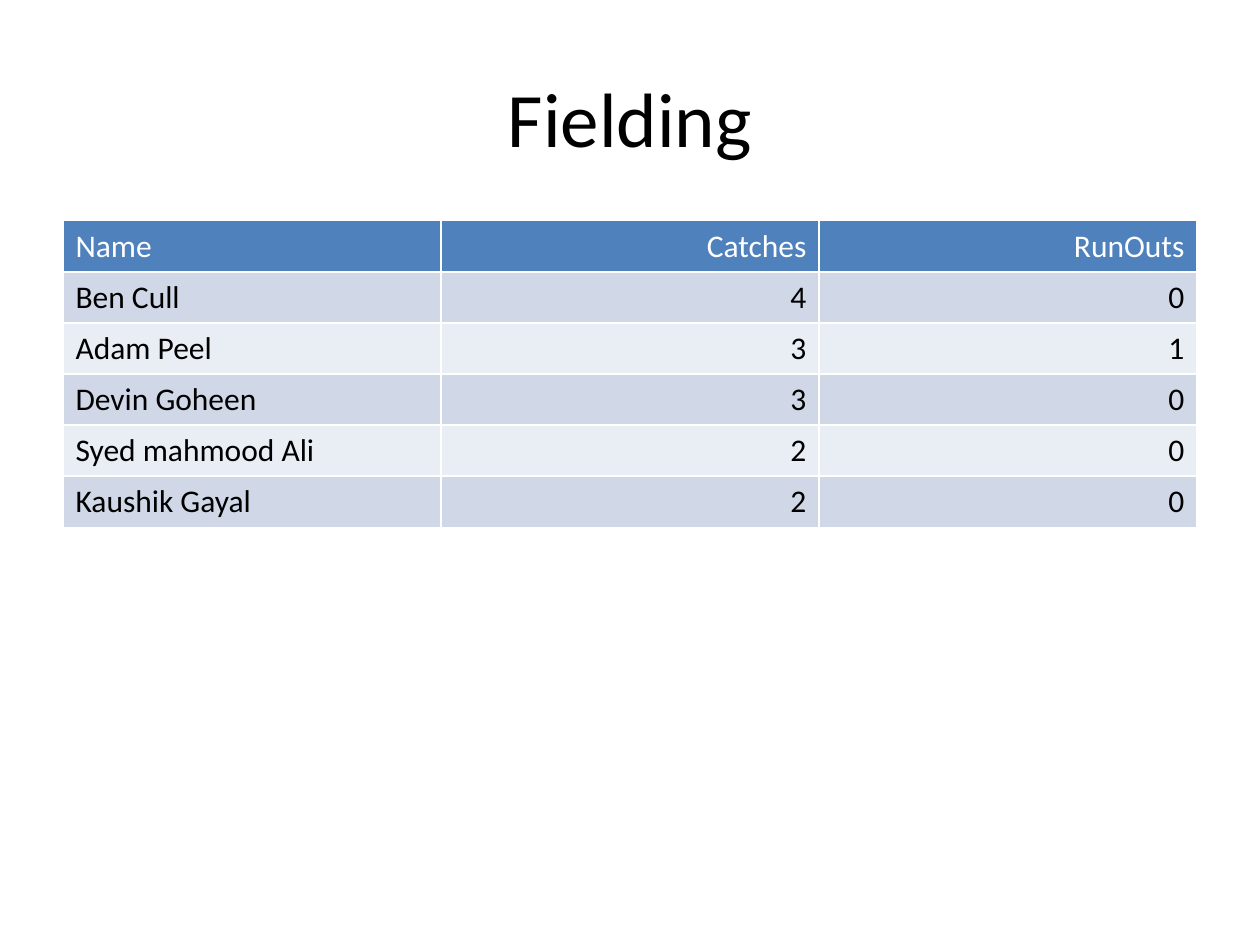
from pptx import Presentation
from pptx.dml.color import RGBColor
from pptx.enum.text import MSO_ANCHOR as Anchor, PP_ALIGN as Align
from pptx.oxml import parse_xml
from pptx.oxml.ns import nsdecls
from pptx.util import Cm, Pt

BLACK, WHITE = "000000", "FFFFFF"
HEAD, BANDS = "4F81BD", ("D0D8E8", "E9EDF4")
SCORES = [
    ("Name", "Catches", "RunOuts"),
    ("Ben Cull", 4, 0),
    ("Adam Peel", 3, 1),
    ("Devin Goheen", 3, 0),
    ("Syed mahmood Ali", 2, 0),
    ("Kaushik Gayal", 2, 0),
]
LEFT, WIDTH = Cm(1.27), Cm(22.86)
ROW = Cm(1.03)


def color(code):
    return RGBColor.from_string(code)


def write(frame, text, size=18, ink=BLACK, align=Align.LEFT):
    para = frame.paragraphs[0]
    para.alignment = align
    run = para.add_run()
    run.text = text
    font = run.font
    font.name, font.size, font.bold = "Calibri", Pt(size), False
    font.color.rgb = color(ink)


def add_title(slide, text):
    box = slide.shapes.add_textbox(LEFT, Cm(0.76), WIDTH, Cm(3.18))
    frame = box.text_frame
    frame.word_wrap = True
    frame.vertical_anchor = Anchor.MIDDLE
    write(frame, text, size=44, align=Align.CENTER)


def add_edges(cell, ink=WHITE, width=Pt(1)):
    """Draw all four borders; they must come before the fill in the XML."""
    props = cell._tc.get_or_add_tcPr()
    for i, side in enumerate(("lnL", "lnR", "lnT", "lnB")):
        props.insert(i, parse_xml(
            f'<a:{side} {nsdecls("a")} w="{width}"><a:solidFill>'
            f'<a:srgbClr val="{ink}"/></a:solidFill></a:{side}>'))


def add_grid(slide, rows):
    shape = slide.shapes.add_table(len(rows), len(rows[0]), LEFT, Cm(4.45),
                                   WIDTH, ROW * len(rows))
    table = shape.table
    for r, row in enumerate(rows):
        fill = BANDS[(r - 1) % 2] if r else HEAD
        for c, value in enumerate(row):
            cell = table.cell(r, c)
            cell.fill.solid()
            cell.fill.fore_color.rgb = color(fill)
            add_edges(cell)
            write(cell.text_frame, str(value), ink=BLACK if r else WHITE,
                  align=Align.RIGHT if c else Align.LEFT)


def main():
    deck = Presentation()
    deck.slide_width, deck.slide_height = Cm(25.4), Cm(19.05)
    slide = deck.slides.add_slide(deck.slide_layouts[6])
    add_title(slide, "Fielding")
    add_grid(slide, SCORES)
    deck.save("out.pptx")


if __name__ == "__main__":
    main()
